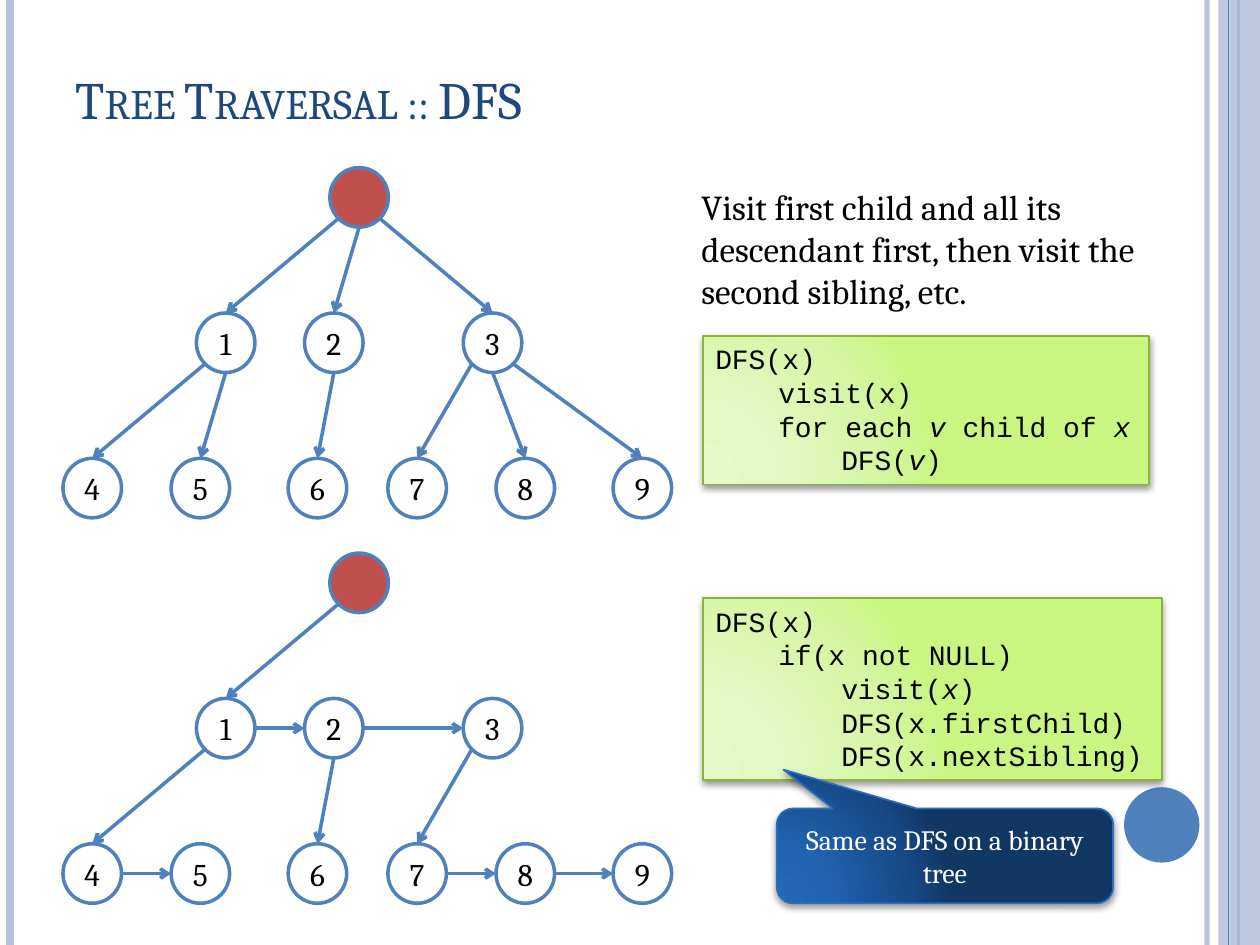
from lxml.etree import SubElement
from pptx import Presentation
from pptx.dml.color import RGBColor
from pptx.enum.shapes import MSO_CONNECTOR, MSO_SHAPE
from pptx.enum.text import MSO_ANCHOR, PP_ALIGN
from pptx.oxml.ns import qn
from pptx.util import Cm, Pt

BLUE, PALE, RED, WHITE, BLACK = "4F81BD", "B3C1DB", "C0504D", "FFFFFF", "000000"
SERIF, MONO = "Cambria", "Courier New"
GREEN_STOPS = {0: "E5F9C9", 30: "E3F8C4", 75: "D5F6A3", 100: "C8F680"}
NAVY_STOPS = {0: "2367B8", 30: "2263B1", 75: "164A88", 100: "113765"}

# Tree layout in cm, relative to the tree's top left corner
NODE_WIDTH, NODE_HEIGHT, LEVEL_STEP = 1.18, 1.2, 2.93
NODES = {  # name: (centre x, level)
    "root": (5.97, 0),
    "1": (3.28, 1), "2": (5.46, 1), "3": (8.66, 1),
    "4": (0.59, 2), "5": (2.77, 2), "6": (5.13, 2),
    "7": (7.14, 2), "8": (9.32, 2), "9": (11.68, 2),
}
# Connection sites of an ellipse: number and direction from the centre
DIAGONAL = 0.71
SITES = {
    "top": (0, 0, -1), "left": (2, -1, 0), "bottom_left": (3, -DIAGONAL, DIAGONAL),
    "bottom": (4, 0, 1), "bottom_right": (5, DIAGONAL, DIAGONAL), "right": (6, 1, 0),
}
CHILD_EDGES = [
    ("root", "1", "bottom_left"), ("root", "2", "bottom"), ("root", "3", "bottom_right"),
    ("1", "4", "bottom_left"), ("1", "5", "bottom"), ("2", "6", "bottom"),
    ("3", "7", "bottom_left"), ("3", "8", "bottom"), ("3", "9", "bottom_right"),
]
FIRST_CHILD_EDGES = [edge for edge in CHILD_EDGES if edge[1] in ("1", "4", "6", "7")]
SIBLING_EDGES = [("1", "2"), ("2", "3"), ("4", "5"), ("7", "8"), ("8", "9")]

# Code lines: (indent level, text with variables between asterisks)
TREE_CODE = [(0, "DFS(x)"), (1, "visit(x)"), (1, "for each *v* child of *x*"), (2, "DFS(*v*)")]
BINARY_CODE = [(0, "DFS(x)"), (1, "if(x not NULL)"), (2, "visit(*x*)"),
               (2, "DFS(x.firstChild)"), (2, "DFS(x.nextSibling)")]


def color(value):
    return RGBColor.from_string(value)


def set_alpha(fill_parent, percent):
    target = fill_parent.find(f"{qn('a:solidFill')}/{qn('a:srgbClr')}")
    SubElement(target, qn("a:alpha"), val=str(percent * 1000))


def write_text(shape, lines, font=SERIF, size=18, fill=BLACK, align=PP_ALIGN.LEFT,
               anchor=MSO_ANCHOR.TOP, wrap=True, indent=0, before=0, small_caps=False):
    """Write (level, text) lines; text between asterisks is italic."""
    frame = shape.text_frame
    frame.word_wrap, frame.vertical_anchor = wrap, anchor
    for index, (level, text) in enumerate(lines):
        paragraph = frame.paragraphs[0] if index == 0 else frame.add_paragraph()
        paragraph.alignment, paragraph.space_before = align, Pt(before)
        paragraph._p.get_or_add_pPr().set("marL", str(Cm(indent * level)))
        for part, piece in enumerate(text.split("*")):
            if not piece:
                continue
            run = paragraph.add_run()
            run.text = piece
            run.font.name, run.font.size = font, Pt(size)
            run.font.color.rgb = color(fill)
            run.font.italic = part % 2 == 1
            if small_caps:
                run.font._element.set("cap", "small")


def add_box(shapes, kind, box, fill, line=None, line_width=1):
    shape = shapes.add_shape(kind, *map(Cm, box))
    shape.shadow.inherit = False
    shape.fill.solid()
    shape.fill.fore_color.rgb = color(fill)
    if line:
        shape.line.color.rgb = color(line)
        shape.line.width = Pt(line_width)
    else:
        shape.line.fill.background()
    return shape


def add_line(shapes, start, end, line, width, arrow=False):
    connector = shapes.add_connector(MSO_CONNECTOR.STRAIGHT, *map(Cm, start + end))
    connector.line.color.rgb = color(line)
    connector.line.width = Pt(width)
    if arrow:
        SubElement(connector.line._get_or_add_ln(), qn("a:tailEnd"), type="arrow")
    SubElement(connector._element.spPr, qn("a:effectLst"))
    return connector


def add_glossy_box(shapes, kind, box, stops, line):
    """Box with a radial gradient and a soft shadow below."""
    shape = add_box(shapes, kind, box, stops[100], line)
    properties = shape._element.spPr
    solid = properties.find(qn("a:solidFill"))
    gradient = SubElement(properties, qn("a:gradFill"), rotWithShape="1")
    properties.replace(solid, gradient)
    stop_list = SubElement(gradient, qn("a:gsLst"))
    for position, value in stops.items():
        stop = SubElement(stop_list, qn("a:gs"), pos=str(position * 1000))
        SubElement(stop, qn("a:srgbClr"), val=value)
    circle = SubElement(gradient, qn("a:path"), path="circle")
    SubElement(circle, qn("a:fillToRect"), l="5000", t="100000", r="120000", b="10000")
    shadow = SubElement(properties.find(qn("a:effectLst")), qn("a:outerShdw"),
                        blurRad=str(Pt(4)), dist=str(Pt(2)), dir="5400000", rotWithShape="0")
    SubElement(SubElement(shadow, qn("a:srgbClr"), val=BLACK), qn("a:alpha"), val="40000")
    return shape


def add_frame(slide, width, height):
    """Side stripes and the disc at the lower right."""
    def stripe(x, line, line_width):
        return add_line(slide.shapes, (x, 0), (x, height), line, line_width)

    set_alpha(stripe(width - 1.07, PALE, 3).line._get_or_add_ln(), 93)
    stripe(0.2, PALE, 4.5)
    stripe(width - 0.43, BLUE, 1.5)
    band = add_box(slide.shapes, MSO_SHAPE.RECTANGLE, (width - 0.84, 0, 0.84, height), PALE)
    set_alpha(band._element.spPr, 87)
    stripe(width - 0.64, BLUE, 0.75)
    add_box(slide.shapes, MSO_SHAPE.OVAL, (width - 2.74, height - 3.18, 1.52, 1.52), BLUE)


def add_text_box(slide, box, text, **text_format):
    write_text(slide.shapes.add_textbox(*map(Cm, box)), [(1, text)], **text_format)


def add_tree(slide, left, top, child_edges, sibling_edges=()):
    shapes = slide.shapes.add_group_shape().shapes
    circles = {}

    # Nodes
    for name, (x, level) in NODES.items():
        box = (left + x - NODE_WIDTH / 2, top + level * LEVEL_STEP, NODE_WIDTH, NODE_HEIGHT)
        is_root = name == "root"
        circles[name] = add_box(shapes, MSO_SHAPE.OVAL, box, RED if is_root else WHITE, BLUE, 2)
        if not is_root:
            write_text(circles[name], [(0, name)], align=PP_ALIGN.CENTER,
                       anchor=MSO_ANCHOR.MIDDLE)

    def site_point(name, site):
        x, level = NODES[name]
        _, dx, dy = SITES[site]
        return (left + x + dx * NODE_WIDTH / 2,
                top + level * LEVEL_STEP + (1 + dy) * NODE_HEIGHT / 2)

    # Arrows, attached to the nodes at both ends
    edges = [edge + ("top",) for edge in child_edges]
    edges += [edge + ("right", "left") for edge in sibling_edges]
    for source, target, start, end in edges:
        arrow = add_line(shapes, site_point(source, start), site_point(target, end),
                         BLUE, 2, arrow=True)
        links = arrow._element.find(f".//{qn('p:cNvCxnSpPr')}")
        for tag, name, site in (("a:stCxn", source, start), ("a:endCxn", target, end)):
            SubElement(links, qn(tag), id=str(circles[name].shape_id), idx=str(SITES[site][0]))


def add_code(slide, box, lines):
    shape = add_glossy_box(slide.shapes, MSO_SHAPE.RECTANGLE, box, GREEN_STOPS, "8CB537")
    write_text(shape, lines, font=MONO, size=16, wrap=False, indent=1.27)


def add_callout(slide, box, text):
    shape = add_glossy_box(slide.shapes, MSO_SHAPE.ROUNDED_RECTANGULAR_CALLOUT, box,
                           NAVY_STOPS, "2C6CB9")
    for index, value in enumerate((-0.48, -0.91, 0.17)):
        shape.adjustments[index] = value
    write_text(shape, [(0, text)], size=16, fill=WHITE, align=PP_ALIGN.CENTER,
               anchor=MSO_ANCHOR.MIDDLE)


def main():
    presentation = Presentation()
    width, height = 25.4, 19.05
    presentation.slide_width, presentation.slide_height = Cm(width), Cm(height)
    slide = presentation.slides.add_slide(presentation.slide_layouts[6])

    add_frame(slide, width, height)
    add_text_box(slide, (1.27, 0.76, 20.75, 1.98), "Tree Traversal :: DFS", size=30,
                 fill="1F497D", anchor=MSO_ANCHOR.BOTTOM, small_caps=True)
    add_text_box(slide, (13.13, 3.61, 10.8, 2.95),
                 "Visit first child and all its descendant first, "
                 "then visit the second sibling, etc.",
                 size=20, indent=0.76, before=6)

    # General tree above, first child and next sibling links below
    add_tree(slide, 1.27, 3.38, CHILD_EDGES)
    add_tree(slide, 1.27, 11.15, FIRST_CHILD_EDGES, SIBLING_EDGES)
    add_code(slide, (14.17, 6.77, 9, 3), TREE_CODE)
    add_code(slide, (14.17, 12.06, 9.25, 3.67), BINARY_CODE)
    add_callout(slide, (15.66, 16.3, 6.78, 1.91), "Same as DFS on a binary tree")

    presentation.save("out.pptx")


if __name__ == "__main__":
    main()
